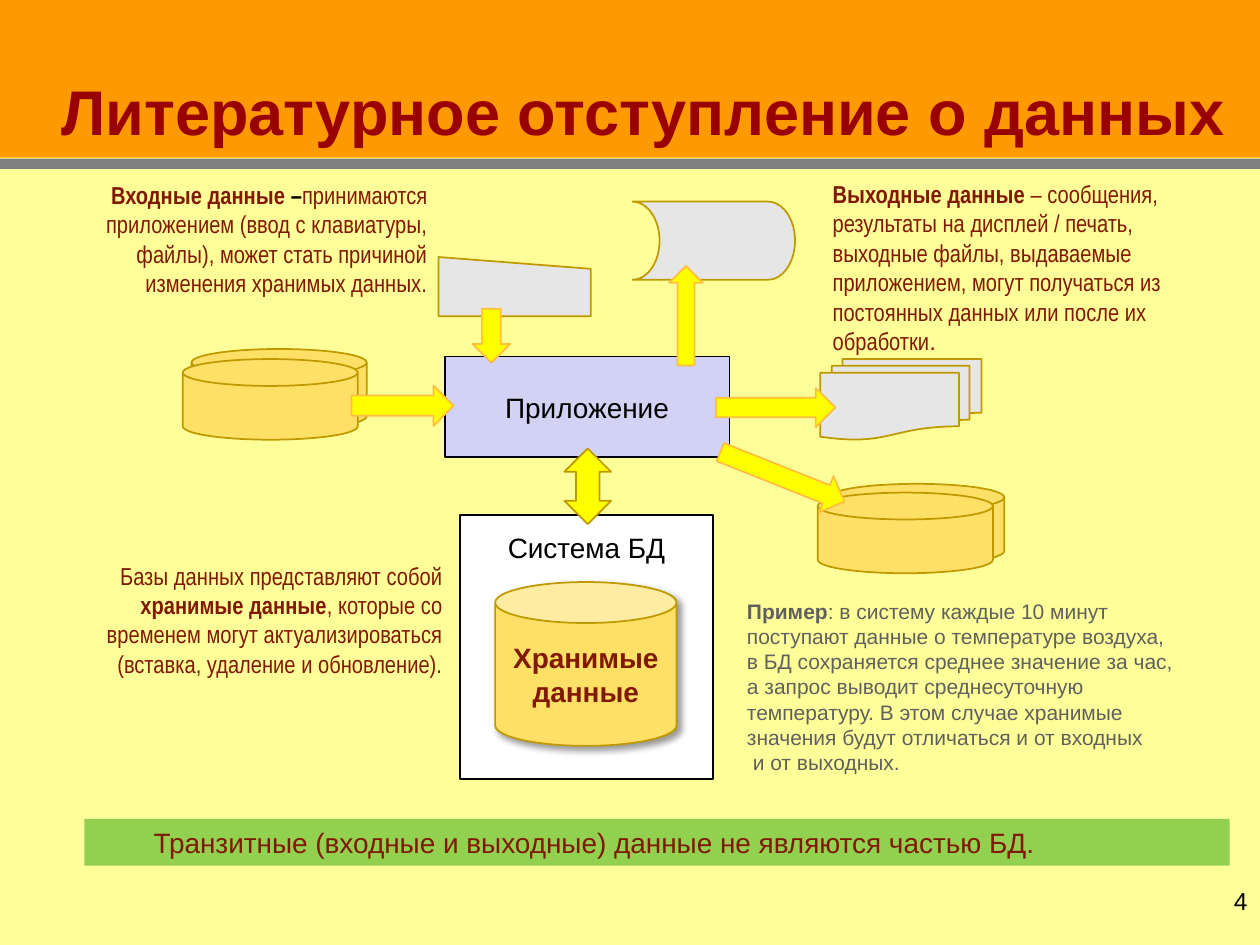
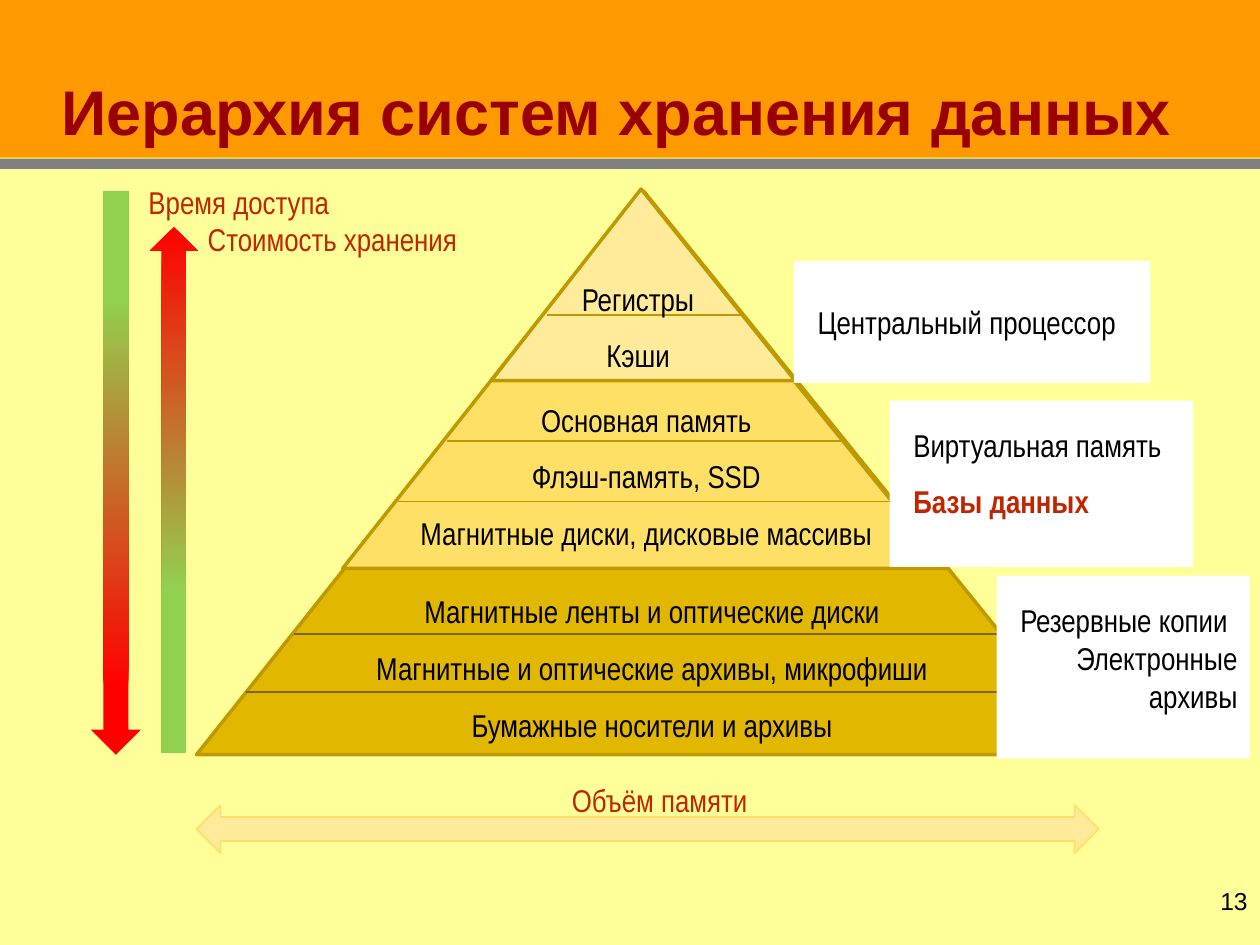
"""Build two slides on transit and stored data and on the storage hierarchy."""
import dataclasses
import typing

import lxml.etree
import pptx
import pptx.dml.color
import pptx.enum.shapes
import pptx.enum.text
import pptx.oxml.ns
import pptx.presentation
import pptx.shapes.autoshape
import pptx.slide
import pptx.util

Preset = pptx.enum.shapes.MSO_SHAPE
Align = pptx.enum.text.PP_ALIGN
Anchor = pptx.enum.text.MSO_ANCHOR
Box = tuple[float, float, float, float]


@dataclasses.dataclass(frozen=True)
class Theme:
    """Colours, fonts and type sizes of the presentation."""
    orange: str = "FF9900"
    cream: str = "FFFF99"
    gray: str = "808080"
    amber: str = "FFCC00"
    title: str = "990000"
    brown: str = "801900"
    rust: str = "BF2600"
    black: str = "000000"
    white: str = "FFFFFF"
    smoke: str = "606060"
    silver: str = "E6E6E6"
    lilac: str = "D2D2F4"
    green: str = "92D050"
    red: str = "FF0000"
    yellow: str = "FFFF00"
    honey: str = "FFBE40"
    gold: str = "FFE066"
    pale_gold: str = "FFEB99"
    deep_gold: str = "E2B700"
    outline: str = "BF9900"
    dark_outline: str = "806600"
    sans: str = "Arial"
    narrow: str = "Arial Narrow"
    title_size: int = 36
    level_size: int = 18
    label_size: int = 16
    note_size: int = 14
    example_size: int = 12


THEME = Theme()


class Run(typing.NamedTuple):
    """A piece of text that differs from the rest of its paragraph."""
    text: str
    bold: bool = False
    italic: bool = False
    color: str | None = None
    font: str | None = None


@dataclasses.dataclass(frozen=True)
class Para:
    """A paragraph with its own format."""
    runs: tuple[Run, ...]
    align: Align | None = None
    spacing: float | None = None
    indent: float | None = None


@dataclasses.dataclass(frozen=True)
class Figure:
    """A preset shape with its place and paint."""
    preset: Preset
    box: Box
    fill: str
    line: str | None = None
    width: float = 1
    flip: bool = False
    rotation: float = 0
    apex: float | None = None


class Divider(typing.NamedTuple):
    """A level line inside the pyramid."""
    left: float
    right: float
    y: float
    color: str


class Note(typing.NamedTuple):
    """A block of text with its place and alignment."""
    box: Box
    runs: tuple[Run, ...]
    align: Align = Align.LEFT
    size: int = THEME.note_size
    color: str = THEME.brown
    font: str = THEME.narrow


def rgb(color: str) -> pptx.dml.color.RGBColor:
    """Turn a hex string into a colour."""
    return pptx.dml.color.RGBColor.from_string(color)


def inches(box: Box) -> list[pptx.util.Length]:
    """Turn a box into lengths."""
    return [pptx.util.Inches(value) for value in box]


def write(shape: pptx.shapes.autoshape.Shape, *paragraphs: Para | str, size: int = THEME.label_size,
          color: str = THEME.black, font: str = THEME.sans, bold: bool = False,
          align: Align = Align.LEFT, anchor: Anchor = Anchor.TOP,
          spacing: float = 1, indent: float = 0) -> None:
    """Fill a shape with formatted paragraphs."""
    frame = shape.text_frame
    frame.word_wrap = True
    frame.vertical_anchor = anchor
    for index, item in enumerate(paragraphs):
        para = Para((Run(item, bold),)) if isinstance(item, str) else item
        target = frame.add_paragraph() if index else frame.paragraphs[0]
        target.alignment = align if para.align is None else para.align
        target.line_spacing = spacing if para.spacing is None else para.spacing
        margin = indent if para.indent is None else para.indent
        target._p.get_or_add_pPr().set("marL", str(pptx.util.Inches(margin)))
        for piece in para.runs:
            for number, line in enumerate(piece.text.split("\n")):
                if number:
                    target.add_line_break()
                run = target.add_run()
                run.text = line
                run.font.size = pptx.util.Pt(size)
                run.font.name = piece.font or font
                run.font.bold = piece.bold
                run.font.italic = piece.italic
                run.font.color.rgb = rgb(piece.color or color)


def draw(slide: pptx.slide.Slide, figure: Figure) -> pptx.shapes.autoshape.Shape:
    """Draw a preset shape."""
    shape = slide.shapes.add_shape(figure.preset, *inches(figure.box))
    shape.shadow.inherit = False
    shape.fill.solid()
    shape.fill.fore_color.rgb = rgb(figure.fill)
    if figure.line:
        shape.line.color.rgb = rgb(figure.line)
        shape.line.width = pptx.util.Pt(figure.width)
    else:
        shape.line.fill.background()
    if figure.flip:
        shape.element.spPr.get_or_add_xfrm().set("flipH", "1")
    shape.rotation = figure.rotation
    if figure.apex is not None:
        shape.adjustments[0] = figure.apex
    return shape


def rule(slide: pptx.slide.Slide, divider: Divider) -> None:
    """Draw a horizontal line without a shadow."""
    line = slide.shapes.add_connector(
        pptx.enum.shapes.MSO_CONNECTOR.STRAIGHT,
        *inches((divider.left, divider.y, divider.right, divider.y)))
    line.line.color.rgb = rgb(divider.color)
    line.line.width = pptx.util.Pt(1)
    lxml.etree.SubElement(line.element.spPr, pptx.oxml.ns.qn("a:effectLst"))


def cast_shadow(shape: pptx.shapes.autoshape.Shape) -> None:
    """Give a shape a soft shadow to the lower right."""
    qn = pptx.oxml.ns.qn
    effects = shape.element.spPr.find(qn("a:effectLst"))
    shadow = lxml.etree.SubElement(
        effects, qn("a:outerShdw"), blurRad=str(pptx.util.Pt(4)), dist=str(pptx.util.Pt(3)),
        dir="2700000", algn="tl", rotWithShape="0")
    color = lxml.etree.SubElement(shadow, qn("a:srgbClr"), val=THEME.black)
    lxml.etree.SubElement(color, qn("a:alpha"), val="40000")


def blend(slide: pptx.slide.Slide, preset: Preset, box: Box, stops: tuple[float, float],
          angle: int) -> None:
    """Draw an arrow that fades from red at its head to green."""
    fill = draw(slide, Figure(preset, box, THEME.red)).fill
    fill.gradient()
    fill.gradient_angle = angle
    for stop, position, color in zip(fill.gradient_stops, stops, (THEME.red, THEME.green)):
        stop.position = position
        stop.color.rgb = rgb(color)


def place_note(slide: pptx.slide.Slide, note: Note) -> None:
    """Place a text block."""
    write(slide.shapes.add_textbox(*inches(note.box)), Para(note.runs), size=note.size,
          color=note.color, font=note.font, align=note.align)


def new_slide(deck: pptx.presentation.Presentation, title: str, number: int) -> pptx.slide.Slide:
    """Add a slide with bands, title and number."""
    slide = deck.slides.add_slide(deck.slide_layouts[6])
    for top, height, color in ((0, 1.25, THEME.orange), (1.25, 6.25, THEME.cream),
                               (1.26, 0.08, THEME.gray)):
        draw(slide, Figure(Preset.RECTANGLE, (0, top, 10, height), color))
    rule(slide, Divider(0, 10, 1.25, THEME.amber))
    write(slide.shapes.add_textbox(*inches((0, 0.06, 10, 1.17))), title, size=THEME.title_size,
          color=THEME.title, bold=True, anchor=Anchor.BOTTOM, spacing=0.9, indent=0.39)
    write(slide.shapes.add_textbox(*inches((8.97, 6.98, 1.03, 0.52))), str(number),
          size=THEME.note_size, align=Align.RIGHT)
    return slide


def build_data_flow(deck: pptx.presentation.Presentation) -> None:
    """Build the slide on input, output and stored data."""
    slide = new_slide(deck, "Литературное отступление о данных", 4)
    conclusion = draw(slide, Figure(Preset.RECTANGLE, (0.67, 6.5, 9.09, 0.37), THEME.green))
    write(conclusion, "Транзитные (входные и выходные) данные не являются частью БД.",
          color=THEME.brown, indent=0.45)
    application = draw(slide, Figure(Preset.RECTANGLE, (3.53, 2.83, 2.26, 0.8),
                                     THEME.lilac, THEME.black))
    write(application, "Приложение", align=Align.CENTER, anchor=Anchor.MIDDLE)
    draw(slide, Figure(Preset.RECTANGLE, (3.65, 4.09, 2.01, 2.09), THEME.white, THEME.black))
    stored = draw(slide, Figure(Preset.CAN, (3.93, 4.62, 1.44, 1.3), THEME.gold, THEME.outline))
    cast_shadow(stored)
    write(stored, "Хранимые данные", color=THEME.brown, bold=True, align=Align.CENTER,
          anchor=Anchor.MIDDLE)

    media = [
        Figure(preset, box, THEME.silver, THEME.outline, flip=flip) for preset, box, flip in (
            (Preset.FLOWCHART_MANUAL_INPUT, (3.48, 2.04, 1.21, 0.47), True),
            (Preset.FLOWCHART_STORED_DATA, (5.02, 1.6, 1.29, 0.62), True),
            (Preset.FLOWCHART_MULTIDOCUMENT, (6.51, 2.85, 1.28, 0.64), False))]
    disks = [
        Figure(Preset.FLOWCHART_MAGNETIC_DISK, (left, top, 1.39, 0.64), THEME.gold, THEME.outline)
        for left, top in ((1.52, 2.77), (1.45, 2.85), (6.58, 3.84), (6.49, 3.91))]
    arrows = [
        Figure(preset, box, THEME.yellow, THEME.honey, rotation=turn) for preset, box, turn in (
            (Preset.DOWN_ARROW, (3.75, 2.45, 0.3, 0.43), 0),
            (Preset.UP_ARROW, (5.31, 2.11, 0.27, 0.79), 0),
            (Preset.RIGHT_ARROW, (5.68, 3.08, 0.95, 0.31), 0),
            (Preset.RIGHT_ARROW, (2.79, 3.06, 0.81, 0.32), 0),
            (Preset.RIGHT_ARROW, (5.68, 3.63, 1.06, 0.31), 21.7))]
    exchange = Figure(Preset.UP_DOWN_ARROW, (4.48, 3.56, 0.37, 0.6), THEME.yellow, THEME.outline)
    for figure in (exchange, *media, *disks, *arrows):
        draw(slide, figure)

    notes = (
        Note((3.65, 4.16, 2.01, 0.37), (Run("Система БД"),), Align.CENTER, THEME.label_size,
             THEME.black, THEME.sans),
        Note((0.51, 1.38, 2.98, 1.04), (
            Run("Входные данные ", bold=True), Run("–", bold=True, color=THEME.black),
            Run("принимаются приложением (ввод с клавиатуры, файлы), может стать причиной "
                "изменения хранимых данных.")), Align.RIGHT),
        Note((6.51, 1.37, 3.22, 1.51), (
            Run("Выходные данные ", bold=True), Run("– ", italic=True),
            Run("сообщения, результаты на дисплей / печать, выходные файлы, выдаваемые "
                "приложением, могут получаться из постоянных данных или после их обработки"),
            Run(".", font=THEME.sans))),
        Note((0.67, 4.4, 2.94, 1.04), (
            Run("Базы данных представляют собой "), Run("хранимые данные", bold=True),
            Run(", которые со временем могут актуализироваться "
                "(вставка, удаление и обновление).")), Align.RIGHT),
        Note((5.83, 4.7, 3.71, 1.51), (
            Run("Пример", bold=True),
            Run(": в систему каждые 10 минут поступают данные о температуре воздуха,\n"
                "в БД сохраняется среднее значение за час, а запрос выводит среднесуточную "
                "температуру. В этом случае хранимые значения будут отличаться и от входных\n"
                " и от выходных.")), Align.LEFT, THEME.example_size, THEME.smoke, THEME.sans))
    for note in notes:
        place_note(slide, note)


def build_hierarchy(deck: pptx.presentation.Presentation) -> None:
    """Build the slide with the storage pyramid."""
    slide = new_slide(deck, "Иерархия систем хранения данных", 13)
    for box, fill, apex in (((1.56, 1.52, 7.16, 4.47), THEME.deep_gold, 0.496),
                            ((2.72, 1.52, 4.79, 2.99), THEME.gold, 0.493),
                            ((3.9, 1.5, 2.41, 1.52), THEME.pale_gold, 0.493)):
        draw(slide, Figure(Preset.ISOSCELES_TRIANGLE, box, fill, THEME.outline, 2, apex=apex))
    for divider in (Divider(4.34, 5.9, 2.5, THEME.outline),
                    Divider(3.55, 6.71, 3.5, THEME.outline),
                    Divider(3.16, 7.1, 3.98, THEME.outline),
                    Divider(2.33, 7.94, 5.03, THEME.dark_outline),
                    Divider(1.95, 8.29, 5.49, THEME.dark_outline)):
        rule(slide, divider)
    tiers = (
        ((4.23, 2.02, 1.67, 0.95), ("Регистры", "Кэши")),
        ((3.16, 2.98, 3.94, 1.41), ("Основная память", "Флэш-память, SSD",
                                    "Магнитные диски, дисковые массивы")),
        ((2.69, 4.5, 4.97, 1.41), ("Магнитные ленты и оптические диски",
                                   "Магнитные и оптические архивы, микрофиши",
                                   "Бумажные носители и архивы")))
    for box, levels in tiers:
        write(slide.shapes.add_textbox(*inches(box)), *levels, size=THEME.level_size,
              font=THEME.narrow, align=Align.CENTER, spacing=1.5)

    archives = Para((Run("Электронные архивы"),), Align.RIGHT, 1, 0)
    databases = Para((Run("Базы данных", bold=True, color=THEME.rust),))
    uses = (
        ((7.91, 4.57, 2.01, 1.45), ("Резервные копии", archives), Anchor.TOP, 1.5),
        ((7.06, 3.18, 2.41, 1.32), ("Виртуальная память", databases), Anchor.TOP, 1.5),
        ((6.3, 2.07, 2.83, 0.97), ("Центральный процессор",), Anchor.MIDDLE, 1))
    for box, lines, anchor, spacing in uses:
        write(draw(slide, Figure(Preset.RECTANGLE, box, THEME.white)), *lines,
              size=THEME.level_size, font=THEME.narrow, anchor=anchor, spacing=spacing, indent=0.09)

    blend(slide, Preset.UP_ARROW, (1.19, 1.8, 0.38, 4.18), (0, 0.69), 270)
    blend(slide, Preset.DOWN_ARROW, (0.72, 1.52, 0.4, 4.47), (0.12, 0.81), 90)
    draw(slide, Figure(Preset.LEFT_RIGHT_ARROW, (1.56, 6.39, 7.16, 0.38),
                       THEME.pale_gold, THEME.gold))
    for box, trend in (((1.08, 1.4, 2.09, 0.4), "Время доступа"),
                       ((1.55, 1.7, 2.26, 0.4), "Стоимость хранения"),
                       ((4.44, 6.15, 1.75, 0.4), "Объём памяти")):
        place_note(slide, Note(box, (Run(trend),), size=THEME.level_size, color=THEME.rust))


def main() -> None:
    """Build and save the presentation."""
    deck = pptx.Presentation()
    deck.slide_width = pptx.util.Inches(10)
    deck.slide_height = pptx.util.Inches(7.5)
    build_data_flow(deck)
    build_hierarchy(deck)
    deck.save("out.pptx")


if __name__ == "__main__":
    main()
